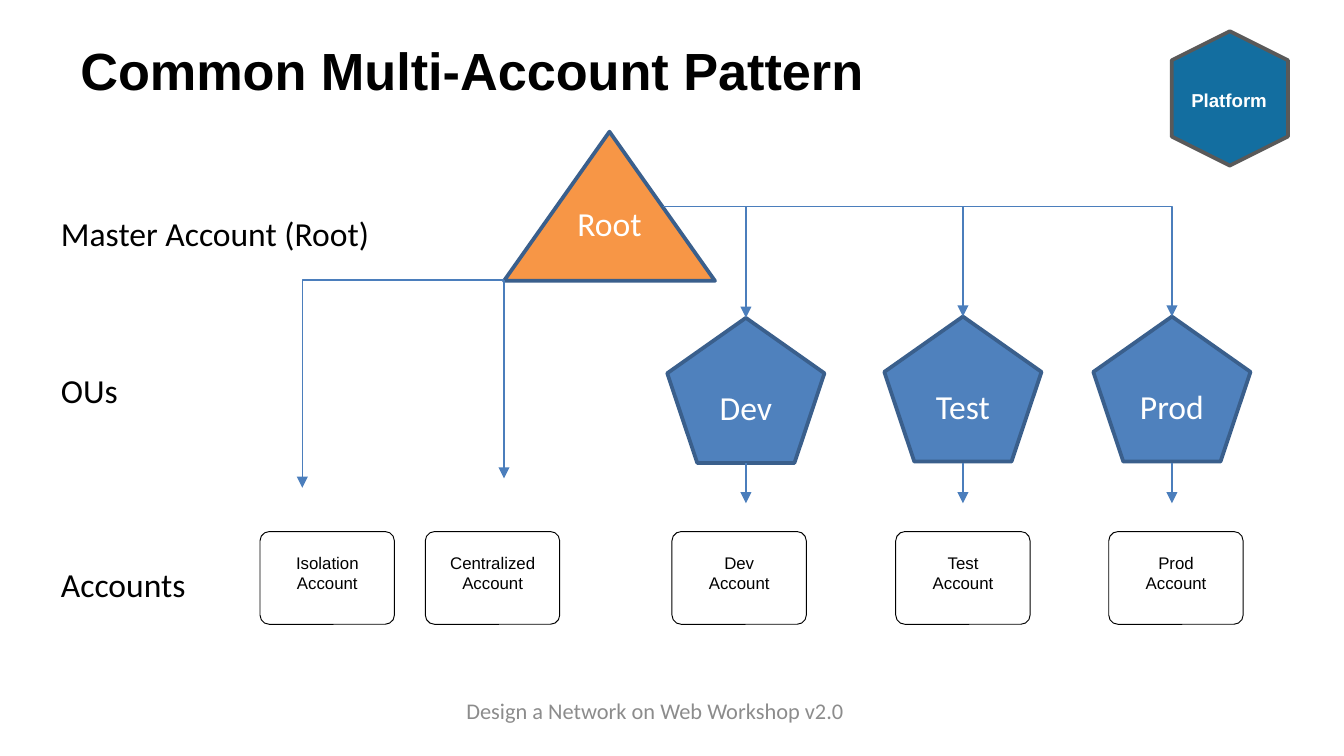
from pptx import Presentation
from pptx.dml.color import RGBColor
from pptx.enum.shapes import MSO_CONNECTOR, MSO_SHAPE
from pptx.enum.text import MSO_ANCHOR, PP_ALIGN
from pptx.oxml.ns import qn
from pptx.util import Pt
from lxml import etree

STRAIGHT, ELBOW = MSO_CONNECTOR.STRAIGHT, MSO_CONNECTOR.ELBOW
HEXAGON, TRIANGLE = MSO_SHAPE.HEXAGON, MSO_SHAPE.ISOSCELES_TRIANGLE
PENTAGON, ROUNDED = MSO_SHAPE.REGULAR_PENTAGON, MSO_SHAPE.ROUNDED_RECTANGLE
TOP, MIDDLE = MSO_ANCHOR.TOP, MSO_ANCHOR.MIDDLE
LEFT, CENTER = PP_ALIGN.LEFT, PP_ALIGN.CENTER

PX = 4572  # 200 px to the inch
THEME = {
    "black": RGBColor(0x00, 0x00, 0x00),
    "white": RGBColor(0xFF, 0xFF, 0xFF),
    "footer": RGBColor(0x8C, 0x8C, 0x8C),
    "badge": RGBColor(0x13, 0x6E, 0xA0),
    "badge_edge": RGBColor(0x59, 0x59, 0x59),
    "root": RGBColor(0xF7, 0x96, 0x46),
    "unit": RGBColor(0x4F, 0x81, 0xBD),
    "edge": RGBColor(0x3A, 0x5F, 0x8C),
    "arrow": RGBColor(0x4B, 0x7E, 0xBC),
    # Type styles: font, size, bold
    "title": ("Arial", 28, True),
    "badge_text": ("Arial", 10, True),
    "body": ("Calibri", 18, False),
    "account": ("Arial", 9, False),
    "small": ("Calibri", 12, False),
}

prs = Presentation()
prs.slide_width, prs.slide_height = 2000 * PX, 1125 * PX
slide = prs.slides.add_slide(prs.slide_layouts[6])
shapes = slide.shapes


def write(owner, lines, style, color, align=CENTER, anchor=TOP, wrap=True):
    frame = owner.text_frame
    frame.word_wrap = wrap
    frame.vertical_anchor = anchor
    for i, line in enumerate(lines):
        paragraph = frame.add_paragraph() if i else frame.paragraphs[0]
        paragraph.alignment = align
        run = paragraph.add_run()
        run.text = line
        run.font.name, size, run.font.bold = THEME[style]
        run.font.size = Pt(size)
        run.font.color.rgb = THEME[color]


def add_arrow(kind, x1, y1, x2, y2):
    arrow = shapes.add_connector(kind, x1 * PX, y1 * PX, x2 * PX, y2 * PX)
    arrow.line.color.rgb = THEME["arrow"]
    arrow.line.width = Pt(0.75)
    properties = arrow._element.spPr
    if kind == ELBOW:  # one corner: across, then down
        properties.find(qn("a:prstGeom")).set("prst", "bentConnector2")
    etree.SubElement(properties.find(qn("a:ln")), qn("a:tailEnd"), type="triangle")
    etree.SubElement(properties, qn("a:effectLst"))


# Title and footer
title = shapes.add_textbox(100 * PX, 45 * PX, 1800 * PX, 118 * PX)
write(title, ["Common Multi-Account Pattern"], "title", "black", LEFT, MIDDLE)
footer = shapes.add_textbox(600 * PX, 1013 * PX, 750 * PX, 90 * PX)
write(footer, ["Design a Network on Web Workshop v2.0"], "small", "footer", anchor=MIDDLE)

# Badge, root and organizational units
units = [("Dev", 993, 473, 1000), ("Test", 1316, 471, 1333), ("Prod", 1627, 471, 1650)]
solids = [
    (HEXAGON, 1730, 60, 200, 173, "badge", "badge_edge", None),
    (TRIANGLE, 750, 196, 314, 222, "root", "edge", "Root"),
]
for name, left, top, _ in units:
    solids.append((PENTAGON, left, top, 234, 216, "unit", "edge", name))
for kind, left, top, width, height, fill, edge, name in solids:
    solid = shapes.add_shape(kind, left * PX, top * PX, width * PX, height * PX)
    solid.shadow.inherit = False
    solid.fill.solid()
    solid.fill.fore_color.rgb = THEME[fill]
    solid.line.color.rgb = THEME[edge]
    solid.line.width = Pt(2)
    if kind == HEXAGON:
        solid.rotation = 90
    if kind == TRIANGLE:
        solid.text_frame.margin_bottom = 72 * PX
    if name:
        write(solid, [name], "body", "white", anchor=MIDDLE)
badge_label = shapes.add_textbox(1752 * PX, 122 * PX, 154 * PX, 42 * PX)
write(badge_label, ["Platform"], "badge_text", "white")

# Level names
for level, top, width in [("Master Account (Root)", 307, 504), ("OUs", 541, 126), ("Accounts", 830, 228)]:
    level_label = shapes.add_textbox(71 * PX, top * PX, width * PX, 80 * PX)
    write(level_label, [level], "body", "black", LEFT, wrap=False)

# Accounts
accounts = [(["Isolation Account"], 387), (["Centralized Account"], 633)]
accounts += [([name, "Account"], left) for name, _, _, left in units]
for lines, left in accounts:
    card = shapes.add_shape(ROUNDED, left * PX, 791 * PX, 200 * PX, 138 * PX)
    card.adjustments[0] = 0.1
    card.shadow.inherit = False
    card.fill.background()
    card.line.color.rgb = THEME["black"]
    card.line.width = Pt(0.5)
    account_label = shapes.add_textbox((left + 11) * PX, 813 * PX, 178 * PX, 80 * PX)
    write(account_label, lines, "account", "black")

# Arrows from the root to the units, and on to their accounts
for _, left, top, _ in units:
    center = left + 117
    add_arrow(ELBOW, 986, 307, center, top)
    add_arrow(STRAIGHT, center, 689, center, 749)

# Arrows from the root straight to the shared accounts
add_arrow(ELBOW, 750, 417, 450, 726)
add_arrow(STRAIGHT, 750, 417, 750, 712)

prs.save("out.pptx")
